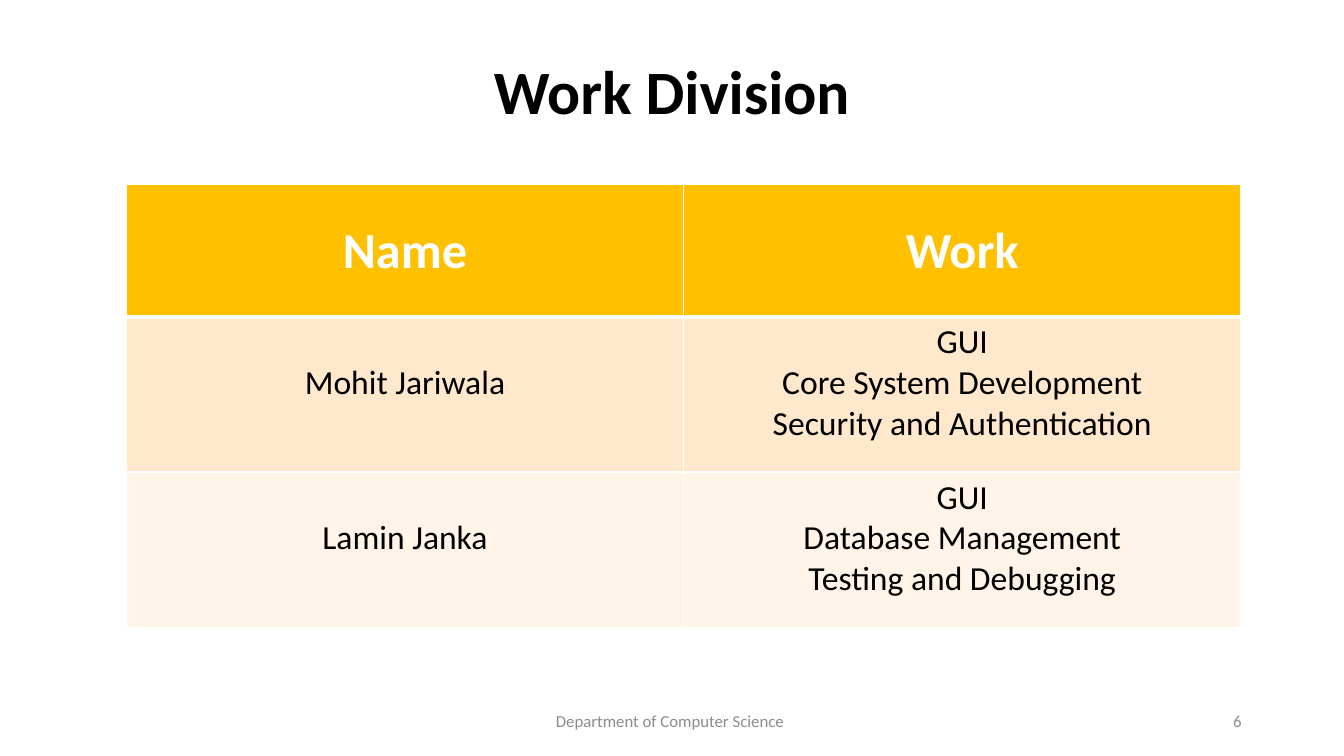
from lxml.etree import SubElement
from pptx import Presentation
from pptx.dml.color import RGBColor
from pptx.enum.text import MSO_ANCHOR as ANCHOR, PP_ALIGN as ALIGN
from pptx.oxml.ns import qn
from pptx.util import Pt

FONT = "Calibri"
BLACK = RGBColor(0x00, 0x00, 0x00)
WHITE = RGBColor(0xFF, 0xFF, 0xFF)
GRAY = RGBColor(0x8C, 0x8C, 0x8C)
GOLD = RGBColor(0xFF, 0xC0, 0x00)
PEACH = RGBColor(0xFF, 0xE8, 0xCC)
CREAM = RGBColor(0xFF, 0xF4, 0xE7)

HEADINGS = ["Name", "Work"]
PEOPLE = [
    ("Mohit Jariwala", ["GUI", "Core System Development", "Security and Authentication"]),
    ("Lamin Janka", ["GUI", "Database Management", "Testing and Debugging"]),
]


def write_lines(tf, lines, size, color, bold=False, align=ALIGN.CENTER, spacing=1.0):
    """Fill a text frame with one paragraph per line."""
    for i, line in enumerate(lines):
        p = tf.paragraphs[0] if i == 0 else tf.add_paragraph()
        p.alignment = align
        p.line_spacing = spacing
        r = p.add_run()
        r.text = line
        r.font.name = FONT
        r.font.size = Pt(size)
        r.font.bold = bold
        r.font.color.rgb = color


def add_label(s, box, text, size, color, **style):
    """Place a vertically centred line of text in a box."""
    tf = s.shapes.add_textbox(*map(Pt, box)).text_frame
    tf.word_wrap = True
    tf.vertical_anchor = ANCHOR.MIDDLE
    write_lines(tf, [text], size, color, **style)


def style_cell(cell, fill, top=1, bottom=1):
    """Give a cell white borders and a solid fill."""
    tc_pr = cell._tc.get_or_add_tcPr()
    for side, width in (("L", 1), ("R", 1), ("T", top), ("B", bottom)):
        ln = SubElement(tc_pr, qn(f"a:ln{side}"), w=str(Pt(width)))
        SubElement(SubElement(ln, qn("a:solidFill")), qn("a:srgbClr"), val=str(WHITE))
    cell.fill.solid()
    cell.fill.fore_color.rgb = fill


def add_work_table(s, box, header_height):
    """Draw the table of people and their work in a box."""
    left, top, width, height = box
    rows, cols = len(PEOPLE) + 1, len(HEADINGS)
    table = s.shapes.add_table(rows, cols, *map(Pt, box)).table
    for col in table.columns:
        col.width = Pt(width / cols)
    for row in table.rows:
        row.height = Pt((height - header_height) / len(PEOPLE))
    table.rows[0].height = Pt(header_height)

    for c, heading in enumerate(HEADINGS):
        cell = table.cell(0, c)
        style_cell(cell, GOLD, bottom=3)
        write_lines(cell.text_frame, [heading], 36, WHITE, bold=True, spacing=1.5)
    for r, (name, work) in enumerate(PEOPLE, 1):
        for c, (lines, spacing) in enumerate((([name], 2.0), (work, 1.0))):
            cell = table.cell(r, c)
            style_cell(cell, PEACH if r % 2 else CREAM, top=3 if r == 1 else 1)
            write_lines(cell.text_frame, lines, 24, BLACK, spacing=spacing)


def add_footer(s, box):
    """Place the department in the middle and the page number at the right."""
    left, top, width, height = box
    add_label(s, (left + 252, top, 324, height), "Department of Computer Science ", 12, GRAY)
    add_label(s, (left + width - 216, top, 216, height), "6", 12, GRAY, align=ALIGN.RIGHT)


def main():
    """Build the work division slide."""
    prs = Presentation()
    prs.slide_width, prs.slide_height = Pt(960), Pt(540)
    s = prs.slides.add_slide(prs.slide_layouts[6])
    add_label(s, (66, 28.75, 828, 78), "Work Division", 44, BLACK, bold=True, spacing=0.9)
    add_footer(s, (66, 500.5, 828, 28.75))
    add_work_table(s, (90.3, 132, 796, 316), 94.4)
    prs.save("out.pptx")


if __name__ == "__main__":
    main()
